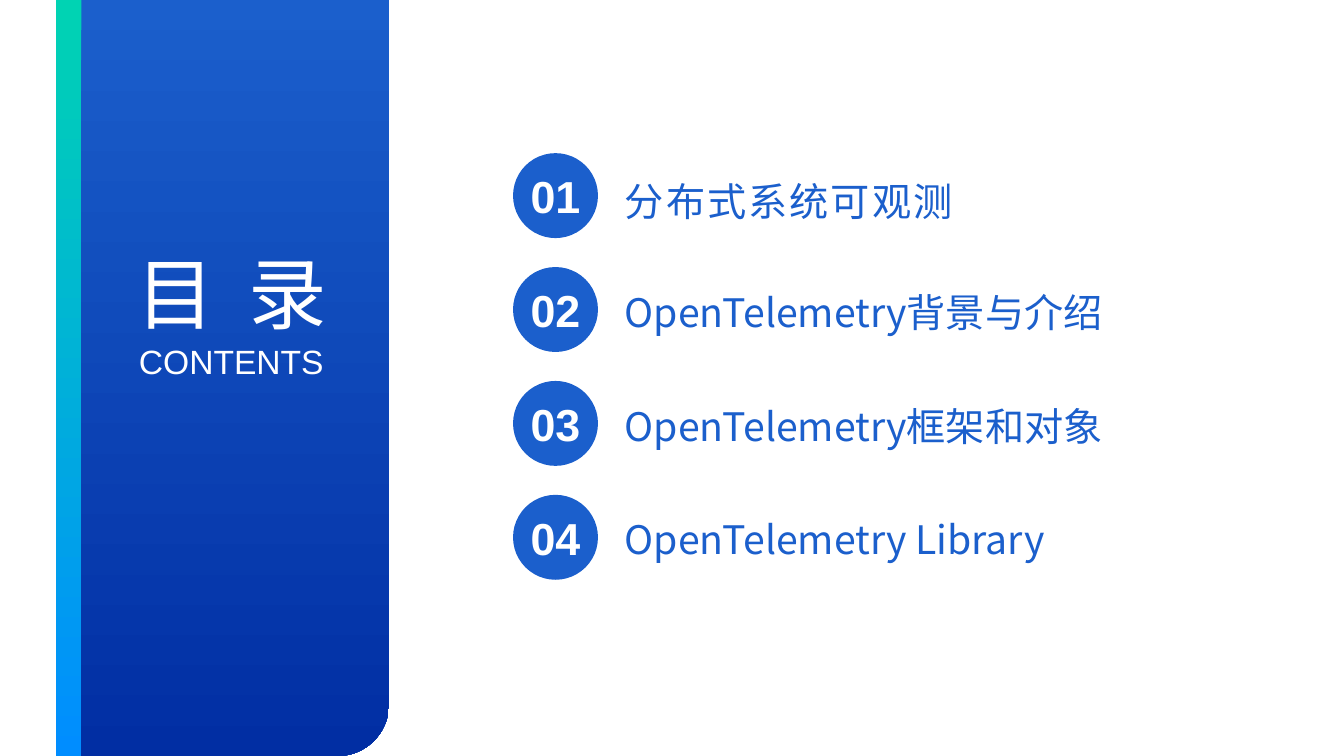
"""Build the contents slide: a gradient side panel and four numbered topics."""
from lxml import etree
from pptx import Presentation
from pptx.dml.color import RGBColor
from pptx.enum.shapes import MSO_SHAPE
from pptx.enum.text import MSO_ANCHOR, PP_ALIGN
from pptx.oxml.ns import qn
from pptx.util import Cm, Pt

OVAL, ROUND_ONE = MSO_SHAPE.OVAL, MSO_SHAPE.ROUND_1_RECTANGLE
MIDDLE, CENTER, LEFT = MSO_ANCHOR.MIDDLE, PP_ALIGN.CENTER, PP_ALIGN.LEFT
COLORS = {
    "blue": "1B5FCC", "navy": "012EA3", "green": "00D3B3",
    "azure": "008DFF", "white": "FFFFFF",
}
LATIN, CJK = "Arial", "Noto Sans CJK SC"
SLIDE_W, SLIDE_H = 33.87, 19.05


def write(shape, text, size, font, color, align=LEFT, inset=0, bold=False, tracking=0):
    frame = shape.text_frame
    frame.margin_left = frame.margin_right = Cm(inset)
    frame.margin_top = frame.margin_bottom = Cm(inset / 2)
    paragraph = frame.paragraphs[0]
    paragraph.alignment = align
    run = paragraph.add_run()
    run.text = text
    paragraph.font.size = Pt(size)
    paragraph.font.name = font
    paragraph.font.bold = bold
    paragraph.font.color.rgb = RGBColor.from_string(COLORS[color])
    run_props = run.font._element
    if tracking:
        run_props.set("spc", str(tracking))
    if font == CJK:
        etree.SubElement(run_props, qn("a:ea")).set("typeface", CJK)
    return paragraph


prs = Presentation()
prs.slide_width, prs.slide_height = Cm(SLIDE_W), Cm(SLIDE_H)
slide = prs.slides.add_slide(prs.slide_layouts[6])
shapes = slide.shapes

PANELS = [(1.4, 4.57, "green", "azure"), (2.05, 7.75, "blue", "navy")]
for left, width, top_color, bottom_color in PANELS:
    panel = shapes.add_shape(
        ROUND_ONE, Cm(left + (width - SLIDE_H) / 2), Cm((SLIDE_H - width) / 2),
        Cm(SLIDE_H), Cm(width))
    panel.rotation = 90
    panel.shadow.inherit = False
    panel.line.fill.background()
    panel.fill.gradient()
    panel.fill.gradient_angle = 0
    for stop, color in zip(panel.fill.gradient_stops, (top_color, bottom_color)):
        stop.color.rgb = RGBColor.from_string(COLORS[color])

subtitle = shapes.add_textbox(Cm(3.25), Cm(8.59), Cm(5.16), Cm(1.17))
subtitle.text_frame.word_wrap = False
write(subtitle, "CONTENTS", 24, LATIN, "white", CENTER, 0.25).line_spacing = 0.9

title = shapes.add_textbox(Cm(3.18), Cm(6.05), Cm(5.54), Cm(2.64))
title.text_frame.word_wrap = False
write(title, "目 录", 56, CJK, "white", inset=0.25, tracking=600)

TOPICS = [
    ("分布式系统可观测", 0.41, 1.3, 150),
    ("OpenTelemetry背景与介绍", 0.51, 1, 0),
    ("OpenTelemetry框架和对象", 0.51, 1, 0),
    ("OpenTelemetry Library", 0.51, 1, 0),
]
for index, (topic, drop, line_spacing, tracking) in enumerate(TOPICS):
    row_top = 3.86 + index * 2.87
    badge = shapes.add_shape(OVAL, Cm(12.93), Cm(row_top), Cm(2.14), Cm(2.14))
    badge.shadow.inherit = False
    badge.fill.solid()
    badge.fill.fore_color.rgb = RGBColor.from_string(COLORS["blue"])
    badge.line.fill.background()
    badge.text_frame.word_wrap = False
    badge.text_frame.vertical_anchor = MIDDLE
    write(badge, f"{index + 1:02}", 32, LATIN, "white", CENTER, bold=True)

    label = shapes.add_textbox(Cm(15.75), Cm(row_top + drop), Cm(15), Cm(1.22))
    label.text_frame.word_wrap = True
    label.text_frame.vertical_anchor = MIDDLE
    write(label, topic, 28, CJK, "blue", tracking=tracking).line_spacing = line_spacing

prs.save("out.pptx")
